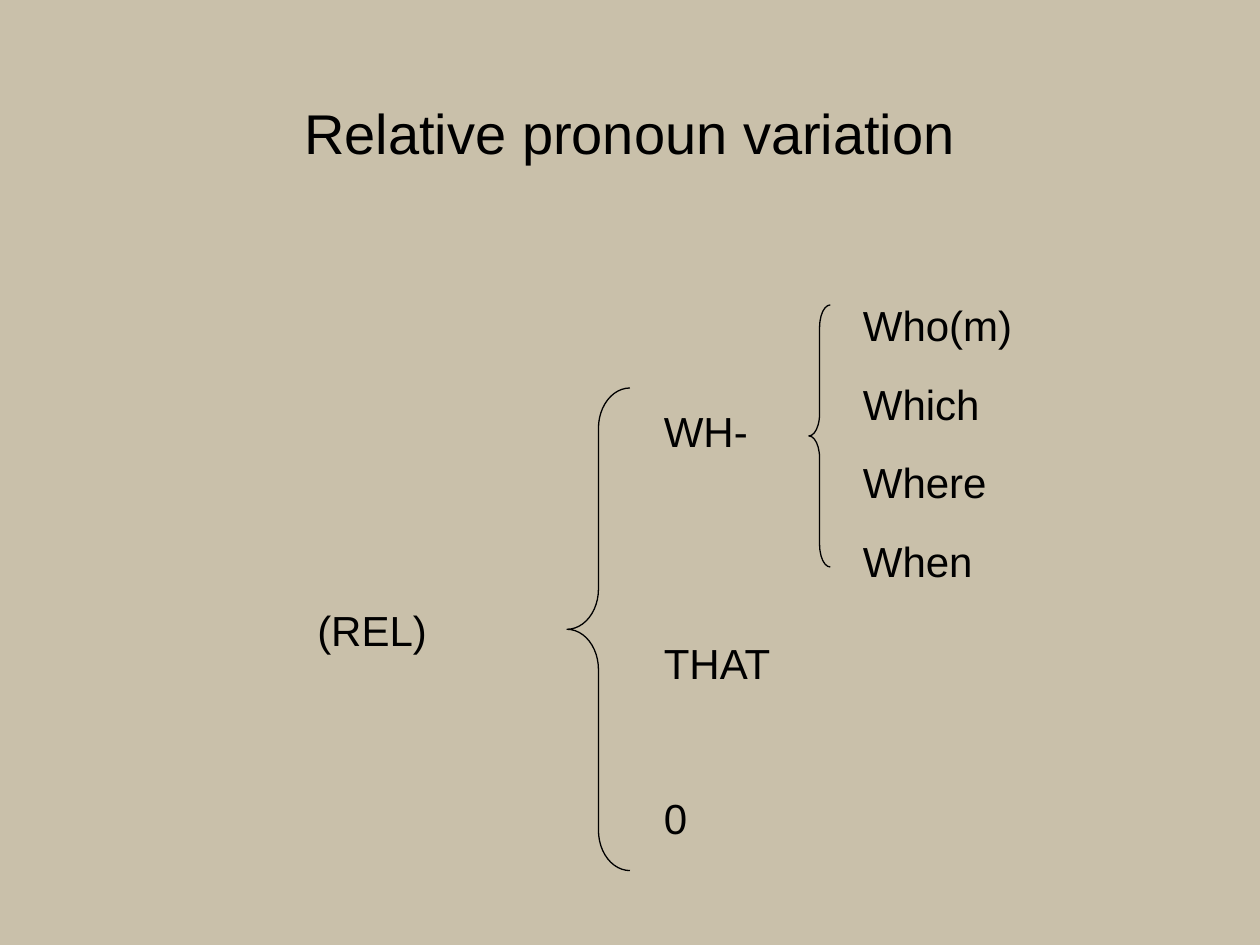
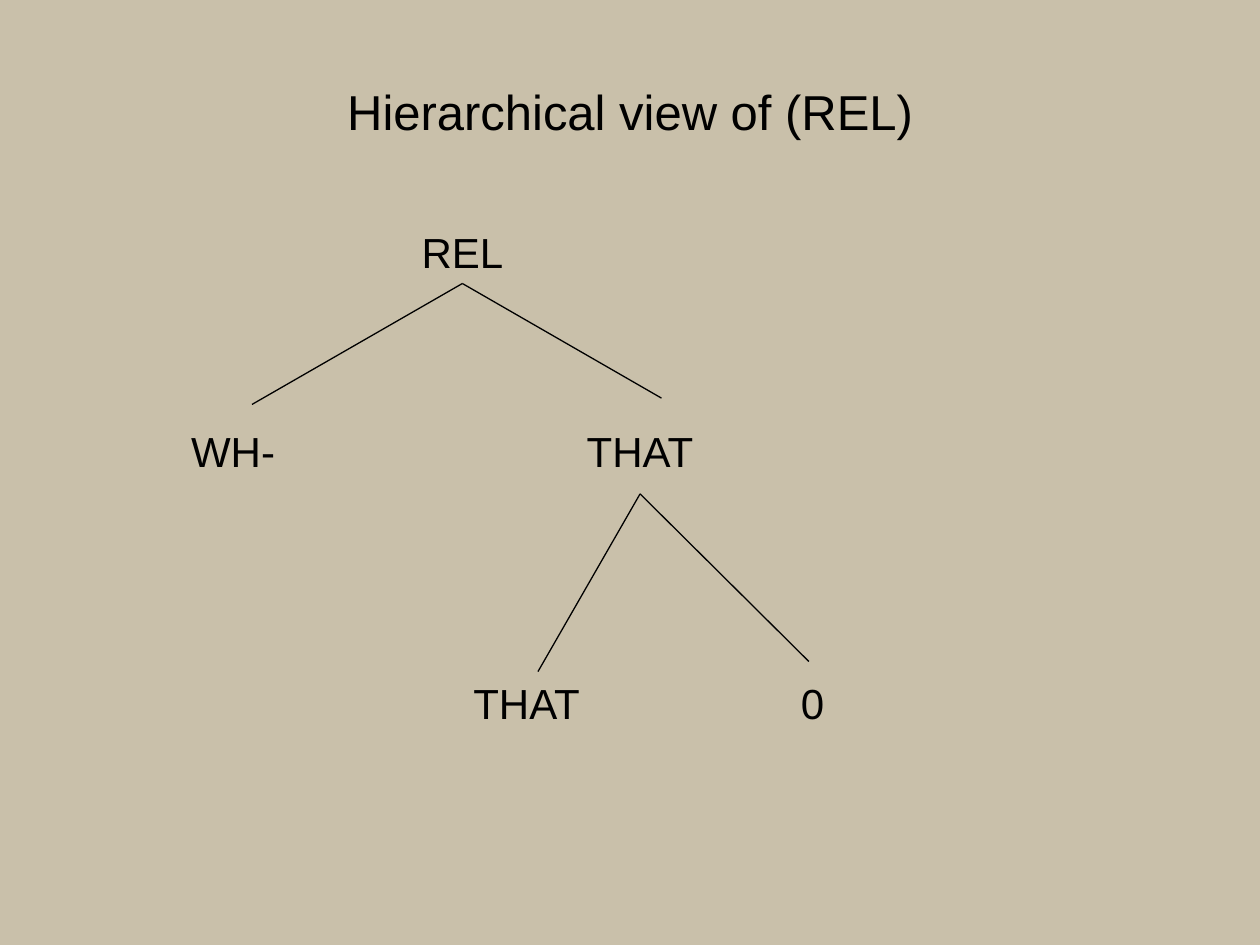
import pptx
import pptx.dml.color
import pptx.enum.shapes
import pptx.enum.text
import pptx.oxml
import pptx.oxml.ns
import pptx.util

Inches = pptx.util.Inches
Pt = pptx.util.Pt
ALIGN = pptx.enum.text.PP_ALIGN

# Shared look
SAND = pptx.dml.color.RGBColor(0xC9, 0xC0, 0xAA)
BLACK = pptx.dml.color.RGBColor(0, 0, 0)
FONT = "Arial"
TEXT_SIZE = 24
LINE_HEIGHT = 27.6  # points, one line of text
ROW_PITCH = 43.7    # points, from one list row to the next


def style_text(para, size, alignment):
    para.alignment = alignment
    for span in para.runs:
        span.font.name = FONT
        span.font.size = Pt(size)
        span.font.color.rgb = BLACK


def style_line(line):
    line.color.rgb = BLACK
    line.width = Pt(0.75)


def add_page(deck, title, size, title_height):
    page = deck.slides.add_slide(deck.slide_layouts[5])
    box = page.shapes.title
    box.left, box.top = Inches(0.75), Inches(0.67)
    box.width, box.height = Inches(8.5), Inches(title_height)
    frame = box.text_frame
    frame.text = title
    frame.vertical_anchor = pptx.enum.text.MSO_ANCHOR.MIDDLE
    frame.auto_size = pptx.enum.text.MSO_AUTO_SIZE.NONE
    style_text(frame.paragraphs[0], size, ALIGN.CENTER)
    return page


def add_list(page, left, top, width, height, words, rows_apart=(1, 1, 1)):
    """Stack words; rows_apart counts the rows from each word to the next."""
    box = page.shapes.add_textbox(Inches(left), Inches(top), Inches(width), Inches(height))
    frame = box.text_frame
    frame.word_wrap = True
    frame.text = "\n".join(words)
    for para in frame.paragraphs:
        style_text(para, TEXT_SIZE, ALIGN.LEFT)
    for para, rows in zip(frame.paragraphs[1:], rows_apart):
        para.space_before = Pt(rows * ROW_PITCH - LINE_HEIGHT)


def add_brace(page, left, top, width, height, curve):
    brace = page.shapes.add_shape(
        pptx.enum.shapes.MSO_SHAPE.LEFT_BRACE,
        Inches(left), Inches(top), Inches(width), Inches(height))
    brace.adjustments[0] = curve
    brace.shadow.inherit = False
    brace.fill.background()
    style_line(brace.line)


def add_node(page, word, center, top, height=0.5, width=1.1):
    box = page.shapes.add_textbox(
        Inches(center - width / 2), Inches(top), Inches(width), Inches(height))
    frame = box.text_frame
    frame.word_wrap = True
    frame.text = word
    style_text(frame.paragraphs[0], TEXT_SIZE, ALIGN.CENTER)
    return box


def add_branch(page, parent, x, y):
    """Draw a line from the bottom of the parent node to a point."""
    branch = page.shapes.add_connector(
        pptx.enum.shapes.MSO_CONNECTOR.STRAIGHT, 0, 0, Inches(x), Inches(y))
    branch.begin_connect(parent, 2)
    style_line(branch.line)
    properties = branch._element.spPr
    properties.append(pptx.oxml.parse_xml(
        "<a:effectLst %s/>" % pptx.oxml.ns.nsdecls("a")))


def build_variation(deck):
    page = add_page(deck, "Relative pronoun variation", 32, 0.75)
    add_list(page, 2.42, 4.75, 2.17, 0.5, ["(REL)"])
    add_brace(page, 4.5, 3.08, 0.5, 3.83, 0.64)
    add_list(page, 5.17, 3.17, 1.25, 3.54, ["WH-", "THAT", "0"], (3, 2))
    add_brace(page, 6.42, 2.42, 0.17, 2.08, 1.04)
    add_list(page, 6.75, 2.33, 1.58, 2.33, ["Who(m)", "Which", "Where", "When"])


def build_hierarchy(deck):
    page = add_page(deck, "Hierarchical view of (REL)", 28, 0.42)

    # Tree nodes, level by level
    root = add_node(page, "REL", 3.67, 1.75)
    add_node(page, "WH-", 1.85, 3.33)
    that = add_node(page, "THAT", 5.08, 3.33, 0.59)
    add_node(page, "THAT", 4.18, 5.33)
    add_node(page, "0", 6.45, 5.33)

    # Branches
    for parent, x, y in ((root, 2, 3.21), (root, 5.25, 3.16),
                         (that, 4.27, 5.33), (that, 6.42, 5.25)):
        add_branch(page, parent, x, y)


def main():
    deck = pptx.Presentation()
    deck.slide_width, deck.slide_height = Inches(10), Inches(7.5)
    background = deck.slide_master.background.fill
    background.solid()
    background.fore_color.rgb = SAND
    build_variation(deck)
    build_hierarchy(deck)
    deck.save("out.pptx")


if __name__ == "__main__":
    main()
